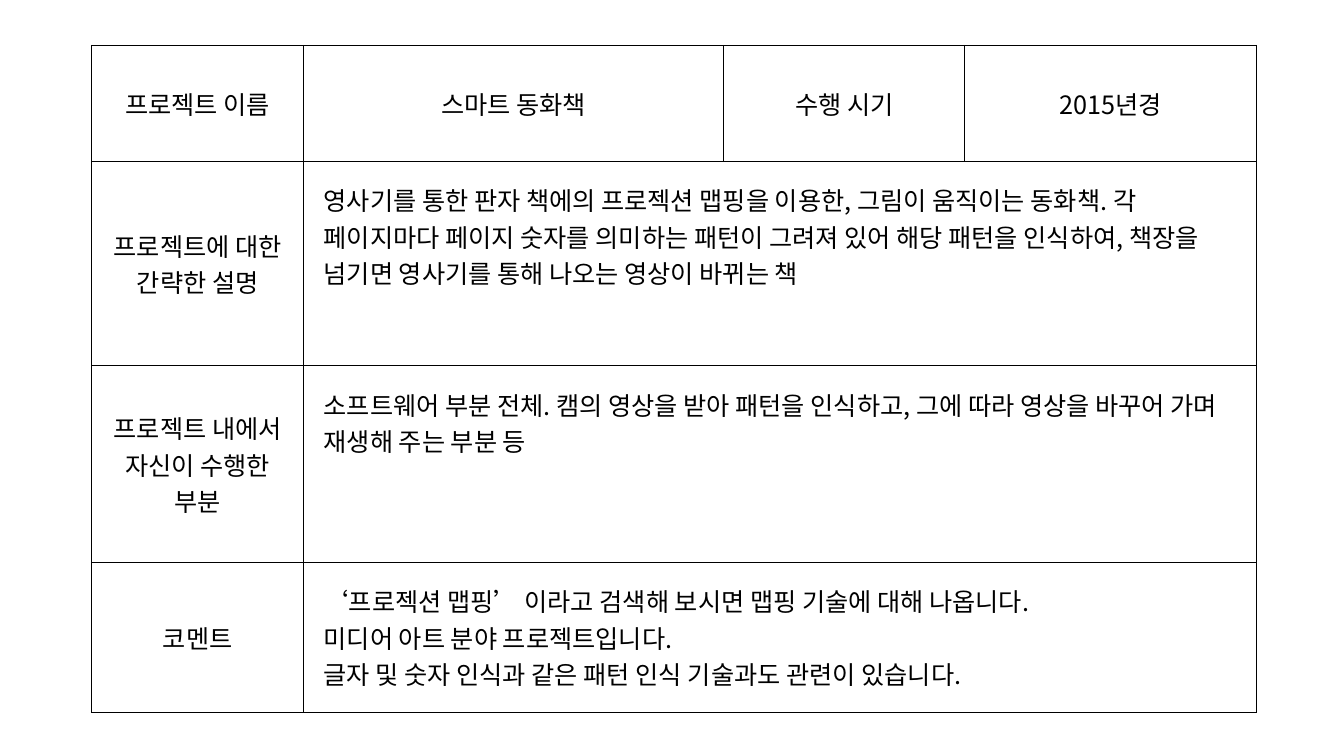
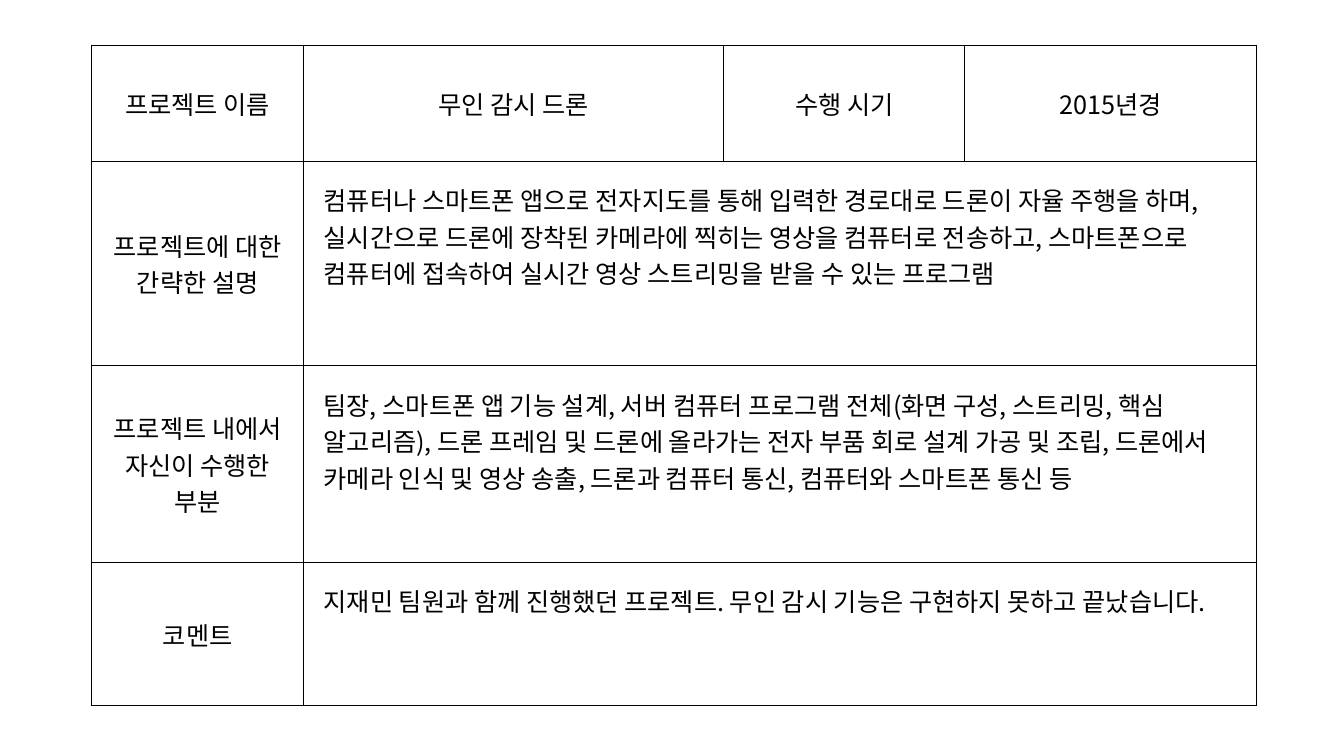
from dataclasses import dataclass

from lxml.etree import SubElement
from pptx import Presentation
from pptx.dml.color import RGBColor
from pptx.enum.text import MSO_ANCHOR as Anchor, PP_ALIGN as Align
from pptx.oxml.ns import qn
from pptx.presentation import Presentation as Deck
from pptx.table import Table, _Cell as Cell
from pptx.util import Inches, Pt


@dataclass(frozen=True)
class Theme:
    font: str = "Noto Sans CJK KR"
    size: int = 18
    ink: str = "000000"
    border: int = 1
    body_inset: float = 0.2


@dataclass(frozen=True)
class Project:
    name: str
    period: str
    summary: str
    role: str
    comment: str


THEME = Theme()
SLIDE_SIZE = (13.33, 7.5)
TABLE_ORIGIN = (0.91, 0.45)
COLUMN_WIDTHS = (2.1, 4.17, 2.39, 2.89)
ROW_HEIGHTS = (1.15, 2.03, 1.95, 1.42)

PROJECTS = (
    Project(
        name="스마트 동화책",
        period="2015년경",
        summary="영사기를 통한 판자 책에의 프로젝션 맵핑을 이용한, 그림이 움직이는 동화책. "
        "각 페이지마다 페이지 숫자를 의미하는 패턴이 그려져 있어 해당 패턴을 인식하여, "
        "책장을 넘기면 영사기를 통해 나오는 영상이 바뀌는 책",
        role="소프트웨어 부분 전체. 캠의 영상을 받아 패턴을 인식하고, "
        "그에 따라 영상을 바꾸어 가며 재생해 주는 부분 등",
        comment="‘프로젝션 맵핑’ 이라고 검색해 보시면 맵핑 기술에 대해 나옵니다.\n"
        "미디어 아트 분야 프로젝트입니다.\n"
        "글자 및 숫자 인식과 같은 패턴 인식 기술과도 관련이 있습니다.",
    ),
    Project(
        name="무인 감시 드론",
        period="2015년경",
        summary="컴퓨터나 스마트폰 앱으로 전자지도를 통해 입력한 경로대로 드론이 자율 주행을 하며, "
        "실시간으로 드론에 장착된 카메라에 찍히는 영상을 컴퓨터로 전송하고, "
        "스마트폰으로 컴퓨터에 접속하여 실시간 영상 스트리밍을 받을 수 있는 프로그램",
        role="팀장, 스마트폰 앱 기능 설계, 서버 컴퓨터 프로그램 전체"
        "(화면 구성, 스트리밍, 핵심 알고리즘), "
        "드론 프레임 및 드론에 올라가는 전자 부품 회로 설계 가공 및 조립, "
        "드론에서 카메라 인식 및 영상 송출, 드론과 컴퓨터 통신, 컴퓨터와 스마트폰 통신 등",
        comment="지재민 팀원과 함께 진행했던 프로젝트. 무인 감시 기능은 구현하지 못하고 끝났습니다.",
    ),
)


def outline_cell(cell: Cell) -> None:
    properties = cell._tc.get_or_add_tcPr()
    for side in ("a:lnL", "a:lnR", "a:lnT", "a:lnB"):
        border = SubElement(properties, qn(side), w=str(Pt(THEME.border)))
        border_fill = SubElement(border, qn("a:solidFill"))
        SubElement(border_fill, qn("a:srgbClr"), val=THEME.ink)
    cell.fill.background()


def write_text(cell: Cell, text: str, align: Align) -> None:
    cell.text_frame.text = text
    for paragraph in cell.text_frame.paragraphs:
        paragraph.alignment = align
        for run in paragraph.runs:
            run.font.name = THEME.font
            run.font.size = Pt(THEME.size)
            run.font.color.rgb = RGBColor.from_string(THEME.ink)
            SubElement(run.font._element, qn("a:ea"), typeface=THEME.font)


def write_label(cell: Cell, text: str) -> None:
    write_text(cell, text, Align.CENTER)
    cell.vertical_anchor = Anchor.MIDDLE


def write_body(cell: Cell, text: str) -> None:
    write_text(cell, text, Align.LEFT)
    cell.vertical_anchor = Anchor.TOP
    inset = Inches(THEME.body_inset)
    cell.margin_left = cell.margin_right = inset
    cell.margin_top = cell.margin_bottom = inset


def add_project_table(deck: Deck) -> Table:
    slide = deck.slides.add_slide(deck.slide_layouts[6])
    left, top = TABLE_ORIGIN
    table = slide.shapes.add_table(
        len(ROW_HEIGHTS), len(COLUMN_WIDTHS), Inches(left), Inches(top),
        Inches(sum(COLUMN_WIDTHS)), Inches(sum(ROW_HEIGHTS)),
    ).table
    table.first_row = table.horz_banding = False
    for column, width in zip(table.columns, COLUMN_WIDTHS):
        column.width = Inches(width)
    for row, height in zip(table.rows, ROW_HEIGHTS):
        row.height = Inches(height)
    for cell in table.iter_cells():
        outline_cell(cell)
    return table


def add_project(deck: Deck, project: Project) -> None:
    table = add_project_table(deck)
    heading = ("프로젝트 이름", project.name, "수행 시기", project.period)
    for column, text in enumerate(heading):
        write_label(table.cell(0, column), text)

    sections = (
        ("프로젝트에 대한 간략한 설명", project.summary),
        ("프로젝트 내에서 자신이 수행한 부분", project.role),
        ("코멘트", project.comment),
    )
    for row, (label, body) in enumerate(sections, start=1):
        write_label(table.cell(row, 0), label)
        body_cell = table.cell(row, 1)
        body_cell.merge(table.cell(row, len(COLUMN_WIDTHS) - 1))
        write_body(body_cell, body)


def main() -> None:
    deck = Presentation()
    deck.slide_width, deck.slide_height = map(Inches, SLIDE_SIZE)
    for project in PROJECTS:
        add_project(deck, project)
    deck.save("out.pptx")


main()
